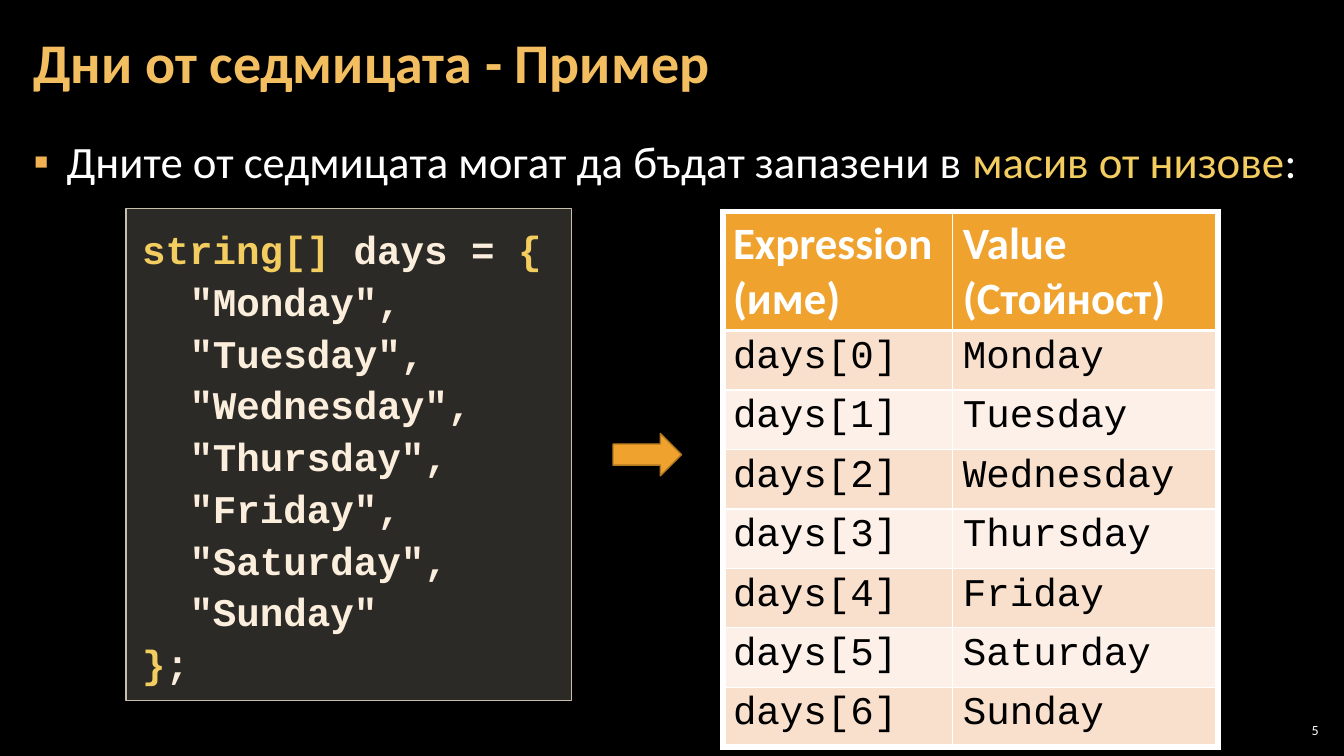
from lxml import etree
from pptx import Presentation
from pptx.dml import color
from pptx.enum import shapes, text
from pptx.oxml import ns
from pptx.util import Inches, Pt

SANS, MONO = "Calibri", "Courier New"
WHITE, BLACK, GOLD, CREAM, AMBER = "FFFFFF", "000000", "F3CD60", "FBEEDC", "F0A22E"
BANDS = ("F9E0CD", "FCF0E8")
DAYS = ("Monday", "Tuesday", "Wednesday", "Thursday", "Friday", "Saturday", "Sunday")


def rgb(code):
    return color.RGBColor.from_string(code)


def paint(fill, code):
    fill.solid()
    fill.fore_color.rgb = rgb(code)


def node(parent, tag, **attrs):
    item = etree.SubElement(parent, ns.qn(tag))
    for key, value in attrs.items():
        item.set(key, str(value))
    return item


def add_runs(para, runs, font, size, bold=False):
    """Add (words, colour) pairs to a paragraph."""
    for words, code in runs:
        run = para.add_run()
        run.text = words
        run.font.name, run.font.size, run.font.bold = font, Pt(size), bold
        run.font.color.rgb = rgb(code)


def set_frame(frame, anchor, side, top):
    frame.word_wrap = True
    frame.vertical_anchor = anchor
    frame.margin_left = frame.margin_right = Inches(side)
    frame.margin_top = frame.margin_bottom = Inches(top)


def add_text(slide, box, runs, size, bold=False, side=0.12, anchor=text.MSO_ANCHOR.MIDDLE):
    frame = slide.shapes.add_textbox(*map(Inches, box)).text_frame
    set_frame(frame, anchor, side, 0.04)
    para = frame.paragraphs[0]
    add_runs(para, runs, SANS, size, bold)
    return para


def add_bullet(para, mark, code):
    props = para._p.get_or_add_pPr()
    props.set("marL", str(Inches(0.33)))
    props.set("indent", str(Inches(-0.33)))
    node(node(props, "a:buClr"), "a:srgbClr", val=code)
    node(props, "a:buFont", typeface="Wingdings 2" if mark == "" else "Arial")
    node(props, "a:buChar", char=mark)


def add_shape(slide, kind, box, fill, line):
    shape = slide.shapes.add_shape(kind, *map(Inches, box))
    shape.shadow.inherit = False
    paint(shape.fill, fill)
    shape.line.color.rgb = rgb(line)
    shape.line.width = Pt(1)
    return shape


def add_code(slide, box):
    panel = add_shape(slide, shapes.MSO_SHAPE.RECTANGLE, box, "D9D5C7", "C7BFAC")
    tint = panel.fill._xPr.find(ns.qn("a:solidFill"))[0]
    node(tint, "a:alpha", val=20000)
    frame = panel.text_frame
    set_frame(frame, text.MSO_ANCHOR.TOP, 0.16, 0.12)
    lines = [[("string[] ", GOLD), ("days = ", CREAM), ("{", GOLD)]]
    lines += [[(f'"{day}",', CREAM)] for day in DAYS[:-1]]
    lines += [[(f'"{DAYS[-1]}"', CREAM)], [("}", GOLD), (";", CREAM)]]
    for i, runs in enumerate(lines):
        para = frame.add_paragraph() if i else frame.paragraphs[0]
        para.alignment = text.PP_ALIGN.LEFT
        para.line_spacing = 1.1
        if 0 < i < len(lines) - 1:
            para._p.get_or_add_pPr().set("marL", str(Inches(0.47)))
        add_runs(para, runs, MONO, 28, True)


def add_edges(cell, widths):
    """Draw white borders; widths are left, right, top, bottom in points."""
    props = cell._tc.get_or_add_tcPr()
    for side, width in zip("LRTB", widths):
        line = node(props, f"a:ln{side}", w=Pt(width))
        node(node(line, "a:solidFill"), "a:srgbClr", val=WHITE)


def add_table(slide, box, widths, head, step):
    rows = [("Expression (име)", "Value\n(Стойност)")]
    rows += [(f"days[{i}]", day) for i, day in enumerate(DAYS)]
    last = len(rows) - 1
    table = slide.shapes.add_table(len(rows), 2, *map(Inches, box)).table
    for col, width in zip(table.columns, widths):
        col.width = Inches(width)
    for r, row in enumerate(rows):
        table.rows[r].height = Inches(step if r else head)
        style = (MONO, 28) if r else (SANS, 32, True)
        top = (4.5, 3)[r] if r < 2 else 1
        base = 3 if r == 0 else 4.5 if r == last else 1
        for c, words in enumerate(row):
            cell = table.cell(r, c)
            add_edges(cell, (1 if c else 4.5, 4.5 if c else 1, top, base))
            paint(cell.fill, BANDS[(r - 1) % 2] if r else AMBER)
            for i, part in enumerate(words.split("\n")):
                frame = cell.text_frame
                para = frame.add_paragraph() if i else frame.paragraphs[0]
                add_runs(para, [(part, BLACK if r else WHITE)], *style)


def main():
    deck = Presentation()
    deck.slide_width, deck.slide_height = Inches(13.33), Inches(7.5)
    slide = deck.slides.add_slide(deck.slide_layouts[6])
    paint(slide.background.fill, BLACK)

    page = add_text(slide, (12.65, 7.14, 0.47, 0.21), [("5", WHITE)], 10, side=0.04)
    page.alignment = text.PP_ALIGN.RIGHT
    intro = [("Дните от седмицата могат да бъдат запазени в ", WHITE),
             ("масив от низове", GOLD), (":", WHITE)]
    para = add_text(slide, (0.21, 1.26, 12.91, 6.09), intro, 32, anchor=text.MSO_ANCHOR.TOP)
    para.line_spacing = 1.05
    para.space_before = para.space_after = Pt(6)
    add_bullet(para, "▪", "F2B254")
    title = add_text(slide, (0.21, 0.04, 10.47, 1.21),
                     [("Дни от седмицата - Пример", "F3BE60")], 40, True)
    title.line_spacing = 0.9

    add_code(slide, (1.25, 2.07, 4.42, 4.88))
    add_table(slide, (7.17, 2.1, 4.91, 5.33), (2.28, 2.63), 1.18, 0.59)
    add_shape(slide, shapes.MSO_SHAPE.RIGHT_ARROW, (6.08, 4.3, 0.68, 0.42), AMBER, "B27822")
    deck.save("out.pptx")


if __name__ == "__main__":
    main()
